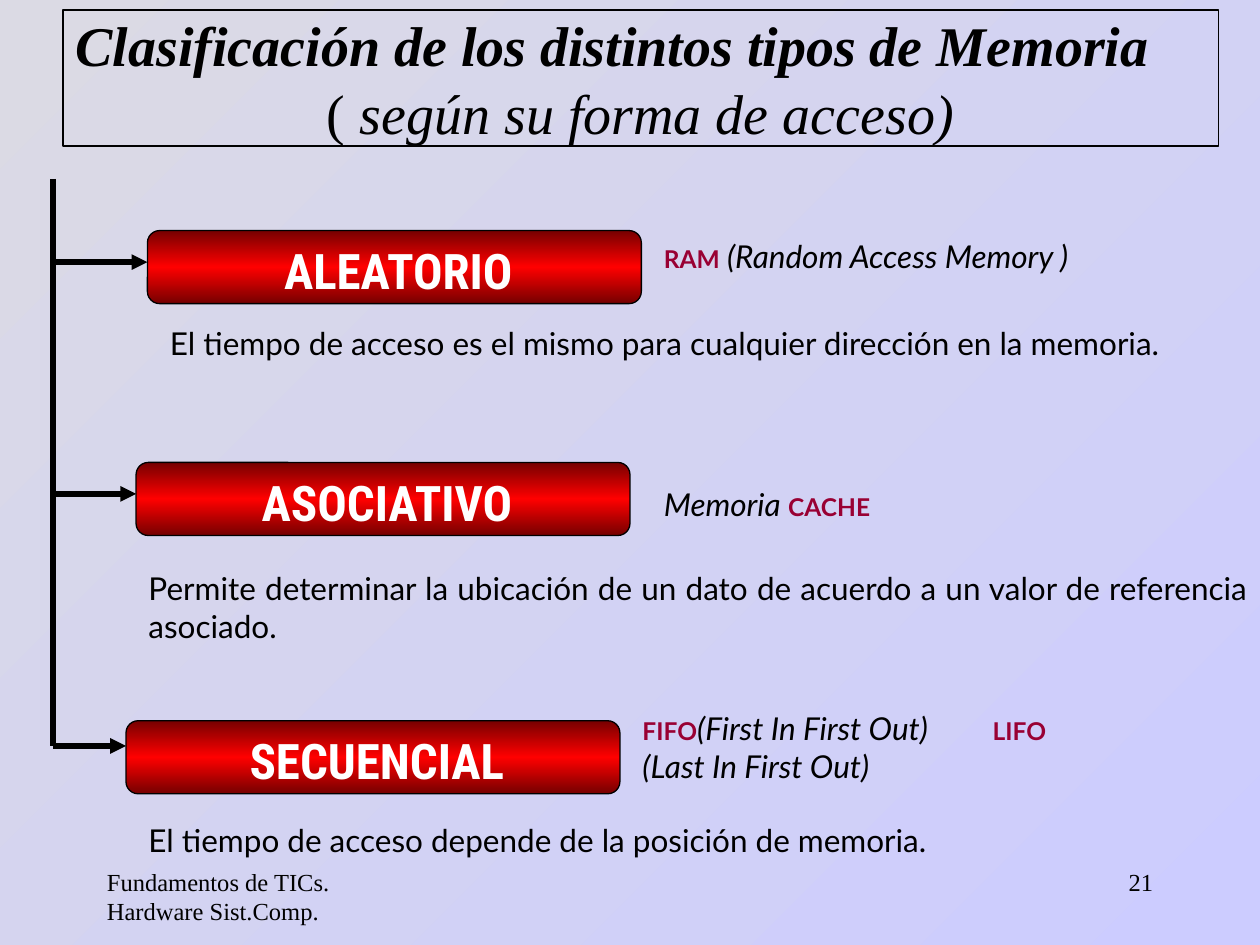
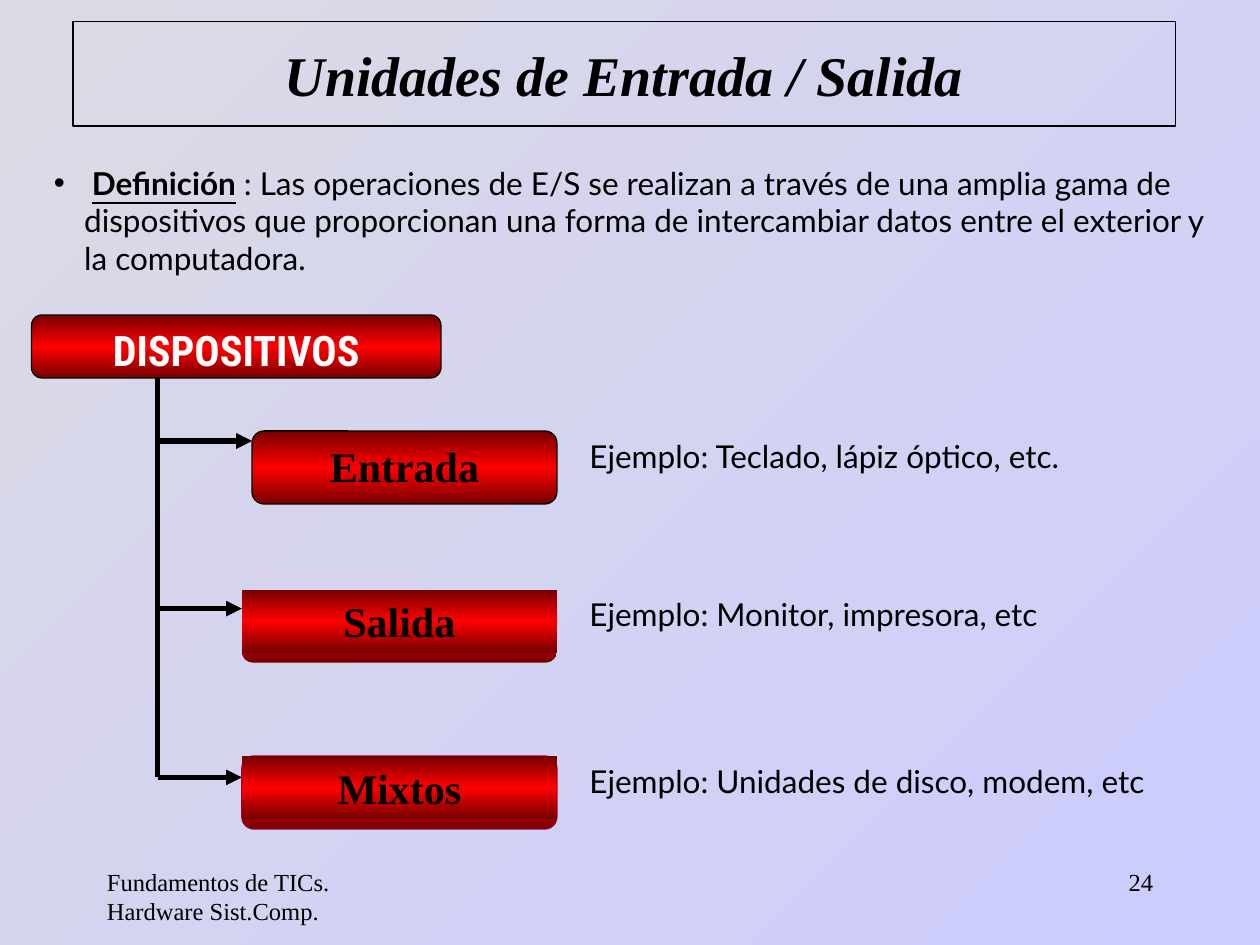
from lxml.etree import SubElement
from pptx import Presentation
from pptx.dml.color import RGBColor
from pptx.enum.shapes import MSO_CONNECTOR, MSO_SHAPE
from pptx.enum.text import MSO_ANCHOR, MSO_AUTO_SIZE, PP_ALIGN
from pptx.oxml.ns import qn
from pptx.util import Inches, Pt

BLACK = RGBColor(0x00, 0x00, 0x00)
WHITE = RGBColor(0xFF, 0xFF, 0xFF)
CRIMSON = RGBColor(0x99, 0x00, 0x33)
RED = RGBColor(0xFF, 0x00, 0x00)
DARK_RED = RGBColor(0x76, 0x00, 0x00)
PALE_GREY = RGBColor(0xDB, 0xDA, 0xE4)
LAVENDER = RGBColor(0xCC, 0xCC, 0xFF)

SERIF = "Times New Roman"
BODY = "Lato"
LABEL = "Roboto Condensed"

TITLE = {"size": 32, "font": SERIF, "italic": True}
TITLE_BOLD = {**TITLE, "bold": True}
FOOTER = {"size": 14, "font": SERIF}
ITALIC = {"italic": True}
ACRONYM = {"size": 14, "color": CRIMSON, "bold": True}
DEVICE = {"size": 24, "font": SERIF, "bold": True}
BUTTON = {"size": 28, "font": LABEL, "color": WHITE, "bold": True}


def add_text(paragraph, text, size=18, font=BODY, color=BLACK,
             bold=False, italic=False, underline=False):
    """Append a formatted run to a paragraph."""
    run = paragraph.add_run()
    run.text = text
    run.font.size = Pt(size)
    run.font.name = font
    run.font.color.rgb = color
    run.font.bold = bold
    run.font.italic = italic
    run.font.underline = underline


def write(shape, runs, align=PP_ALIGN.LEFT, anchor=MSO_ANCHOR.TOP):
    """Fill a shape with one paragraph of (text, format) runs."""
    frame = shape.text_frame
    frame.word_wrap = True
    frame.auto_size = MSO_AUTO_SIZE.NONE
    frame.vertical_anchor = anchor
    paragraph = frame.paragraphs[0]
    paragraph.alignment = align
    for text, style in runs:
        add_text(paragraph, text, **style)
    return paragraph


def paint_gradient(fill, element, colors, angle):
    """Give a fill evenly spaced gradient stops at a clockwise angle."""
    fill.gradient()
    fill.gradient_angle = 360 - angle
    stop_list = next(element.iter(qn("a:gsLst")))
    stop_list.clear()
    for index, color in enumerate(colors):
        position = 100000 * index // (len(colors) - 1)
        stop = SubElement(stop_list, qn("a:gs"), pos=str(position))
        SubElement(stop, qn("a:srgbClr"), val=str(color))


def add_textbox(slide, left, top, width, height, runs, align=PP_ALIGN.LEFT):
    """Add a wrapping text box and return its paragraph."""
    box = slide.shapes.add_textbox(Inches(left), Inches(top), Inches(width), Inches(height))
    return write(box, runs, align)


def add_red_box(slide, left, top, width, height, runs=(),
                kind=MSO_SHAPE.ROUNDED_RECTANGLE, line=BLACK):
    """Add a red gradient box with centred text."""
    box = slide.shapes.add_shape(kind, Inches(left), Inches(top), Inches(width), Inches(height))
    box.shadow.inherit = False
    paint_gradient(box.fill, box._element, (DARK_RED, RED, DARK_RED), 90)
    if line is None:
        box.line.fill.background()
    else:
        box.line.color.rgb = line
        box.line.width = Pt(0.75)
    write(box, runs, PP_ALIGN.CENTER)
    return box


def add_line(slide, start, end, arrow=False):
    """Add a thick black line, with an arrowhead if wanted."""
    points = [Inches(value) for value in (*start, *end)]
    connector = slide.shapes.add_connector(MSO_CONNECTOR.STRAIGHT, *points)
    connector.line.color.rgb = BLACK
    connector.line.width = Pt(3)
    if arrow:
        SubElement(connector.line._get_or_add_ln(), qn("a:tailEnd"), type="triangle")
    SubElement(connector._element.spPr, qn("a:effectLst"))


def add_tree(slide, trunk, top, branches):
    """Add a vertical trunk with an arrow to each (right, y) branch end."""
    add_line(slide, (trunk, top), (trunk, branches[-1][1]))
    for right, y in branches:
        add_line(slide, (trunk, y), (right, y), arrow=True)


def start_slide(presentation, number, place, title_runs):
    """Add a slide with its framed title, footer and number."""
    slide = presentation.slides.add_slide(presentation.slide_layouts[5])
    title = slide.shapes.title
    title.left, title.top, title.width, title.height = map(Inches, place)
    title.line.color.rgb = BLACK
    title.line.width = Pt(0.75)
    write(title, title_runs, PP_ALIGN.CENTER, MSO_ANCHOR.MIDDLE)
    footer = "Fundamentos de TICs. Hardware Sist.Comp."
    add_textbox(slide, 0.75, 6.83, 2.08, 0.5, [(footer, FOOTER)])
    add_textbox(slide, 7.17, 6.83, 2.08, 0.5, [(number, FOOTER)], PP_ALIGN.RIGHT)
    return slide


def build_memory_slide(presentation):
    """Build the classification of memory by access."""
    slide = start_slide(presentation, "21", (0.5, 0.08, 9.17, 1.08), [
        ("Clasificación de los distintos tipos de Memoria\n", TITLE_BOLD),
        ("(", {**TITLE, "italic": False}),
        (" según su forma de acceso)", TITLE),
    ])
    add_tree(slide, 0.42, 1.42, [(1.17, 2.08), (1.08, 3.92), (1, 5.92)])
    for name, left, top in (("ALEATORIO", 1.17, 1.83),
                            ("ASOCIATIVO", 1.08, 3.67),
                            ("SECUENCIAL", 1, 5.72)):
        box = add_red_box(slide, left, top, 3.92, 0.58, [(name, BUTTON)])
        box.text_frame.margin_left = Inches(0.16)

    add_textbox(slide, 5.17, 1.83, 3.83, 0.4, [
        ("RAM", ACRONYM), (" ", {"size": 16}), ("(Random Access Memory )", ITALIC)])
    add_textbox(slide, 5.17, 3.8, 3.58, 0.4, [("Memoria ", ITALIC), ("CACHE", ACRONYM)])
    queues = add_textbox(slide, 5, 5.58, 3.58, 0.7, [
        ("FIFO", ACRONYM), ("(First In First Out)\t", ITALIC),
        ("LIFO", ACRONYM), (" (Last In First Out)", ITALIC)])
    tabs = SubElement(queues._p.get_or_add_pPr(), qn("a:tabLst"))
    SubElement(tabs, qn("a:tab"), pos=str(Inches(2.78)), algn="l")

    add_textbox(slide, 1.25, 2.52, 8.75, 0.4, [
        ("El tiempo de acceso es el mismo para cualquier dirección en la memoria.", {})])
    add_textbox(slide, 1.08, 4.47, 8.92, 0.7, [
        ("Permite determinar la ubicación de un dato de acuerdo a un valor de "
         "referencia asociado.", {})], PP_ALIGN.JUSTIFY)
    add_textbox(slide, 1.08, 6.47, 8, 0.4, [
        ("El tiempo de acceso depende de la posición de memoria.", {})])


def build_devices_slide(presentation):
    """Build the input and output units."""
    slide = start_slide(presentation, "24", (0.58, 0.17, 8.75, 0.83), [
        ("Unidades de Entrada / Salida", TITLE_BOLD)])
    definition = add_textbox(slide, 0.33, 1.25, 9.5, 1, [
        (" ", {"bold": True}),
        ("Definición", {"bold": True, "underline": True}),
        (" : Las operaciones de E/S se realizan a través de una amplia gama de "
         "dispositivos que proporcionan una forma de intercambiar datos entre el "
         "exterior y la computadora.", {})])
    properties = definition._p.get_or_add_pPr()
    properties.set("marL", str(Inches(0.24)))
    properties.set("indent", str(-Inches(0.24)))
    SubElement(properties, qn("a:buFont"), typeface="Arial")
    SubElement(properties, qn("a:buChar"), char="•")

    add_tree(slide, 1.25, 3, [(2, 3.5), (1.92, 4.83), (1.92, 6.17)])
    add_red_box(slide, 0.25, 2.5, 3.25, 0.5, [("DISPOSITIVOS", {**BUTTON, "size": 24})])
    add_red_box(slide, 2, 3.42, 2.42, 0.58, [("Entrada", DEVICE)])
    for name, top, line in (("Salida", 4.68, None), ("Mixtos", 6, CRIMSON)):
        add_red_box(slide, 1.92, top, 2.5, 0.58, line=line)
        add_red_box(slide, 1.92, top, 2.5, 0.5, [(name, DEVICE)], MSO_SHAPE.RECTANGLE, None)

    for example, top in (("Teclado, lápiz óptico, etc.", 3.42),
                         ("Monitor, impresora, etc", 4.67),
                         ("Unidades de disco, modem, etc", 6)):
        add_textbox(slide, 4.58, top, 5, 0.4, [(f"Ejemplo: {example}", {})])


def main():
    """Build and save the presentation."""
    presentation = Presentation()
    presentation.slide_width = Inches(10)
    presentation.slide_height = Inches(7.5)
    master = presentation.slide_master
    paint_gradient(master.background.fill, master._element, (PALE_GREY, LAVENDER), 45)
    build_memory_slide(presentation)
    build_devices_slide(presentation)
    presentation.save("out.pptx")


if __name__ == "__main__":
    main()
